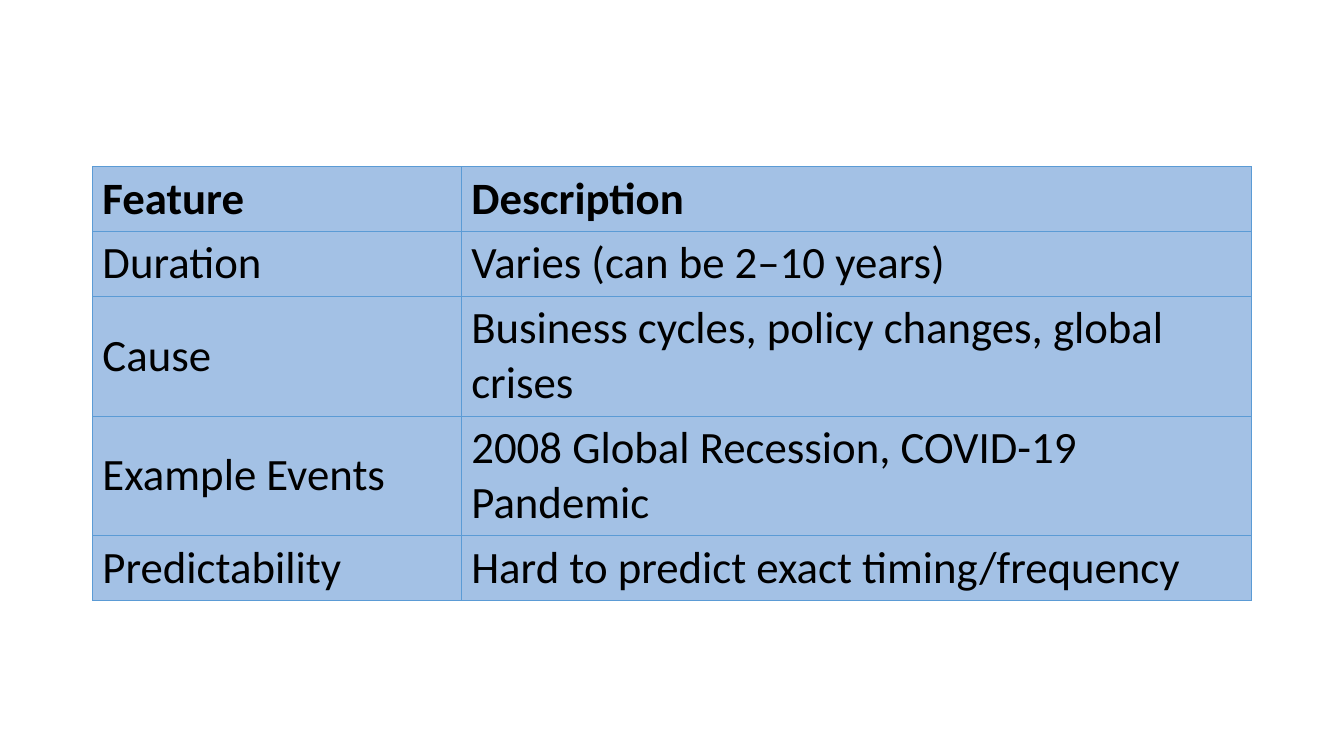
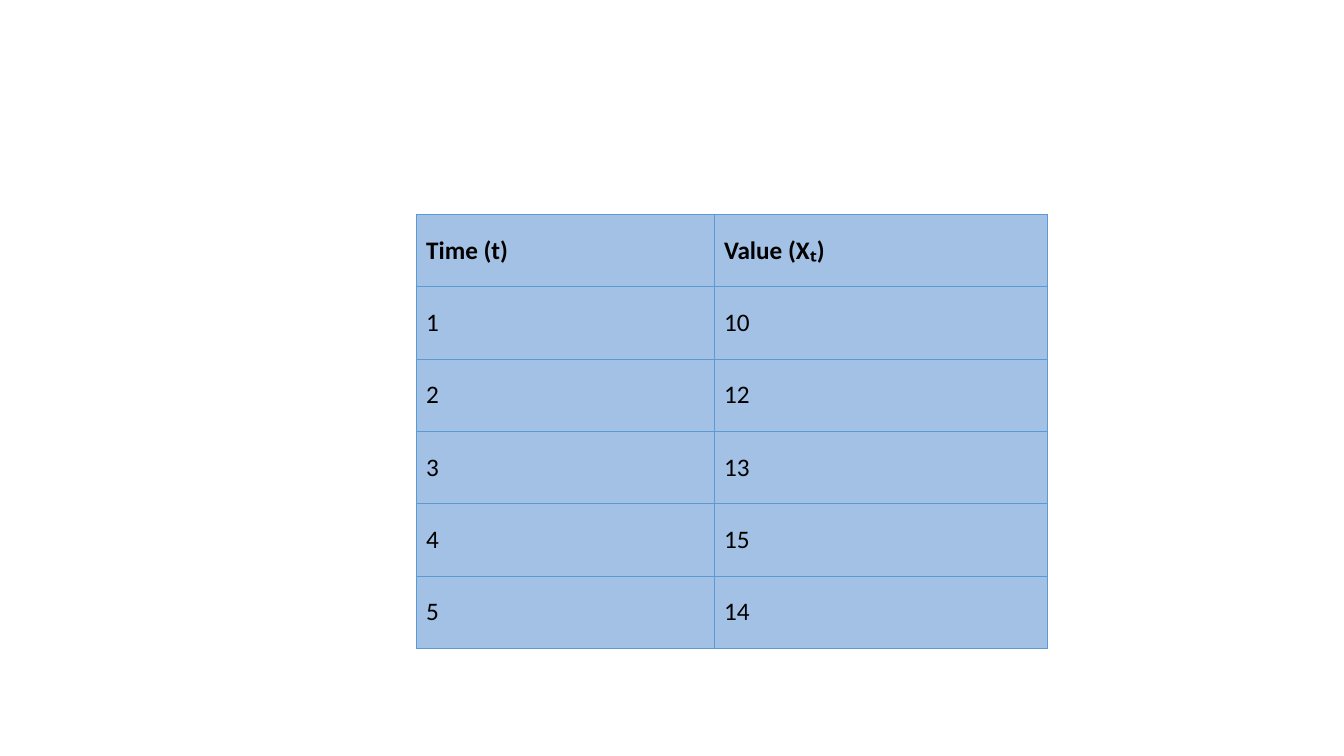
from lxml.etree import SubElement
from pptx import Presentation
from pptx.dml.color import RGBColor
from pptx.enum.text import MSO_ANCHOR
from pptx.oxml.ns import qn
from pptx.util import Pt

FILL = RGBColor(0xA3, 0xC1, 0xE5)
BORDER = RGBColor(0x5B, 0x9B, 0xD5)
TEXT = RGBColor(0, 0, 0)
FONT = "Calibri"
BORDER_WIDTH = Pt(0.5)


def add_borders(cell):
    """Outline all four sides; the lines must precede the fill in the XML."""
    properties = cell._tc.get_or_add_tcPr()
    for side in ("a:lnL", "a:lnR", "a:lnT", "a:lnB"):
        line = SubElement(properties, qn(side), w=str(BORDER_WIDTH))
        solid = SubElement(line, qn("a:solidFill"))
        SubElement(solid, qn("a:srgbClr"), val=str(BORDER))


def add_styled_table(slide, left, top, widths, heights, size, rows):
    frame = slide.shapes.add_table(
        len(rows), len(widths), Pt(left), Pt(top), Pt(sum(widths)), Pt(sum(heights)))
    table = frame.table
    table.horz_banding = False
    for column, width in zip(table.columns, widths):
        column.width = Pt(width)
    for row_index, (values, height) in enumerate(zip(rows, heights)):
        table.rows[row_index].height = Pt(height)
        for column_index, value in enumerate(values):
            cell = table.cell(row_index, column_index)
            add_borders(cell)
            cell.fill.solid()
            cell.fill.fore_color.rgb = FILL
            cell.vertical_anchor = MSO_ANCHOR.MIDDLE
            run = cell.text_frame.paragraphs[0].add_run()
            run.text = value
            run.font.name = FONT
            run.font.size = Pt(size)
            run.font.bold = row_index == 0
            run.font.color.rgb = TEXT


presentation = Presentation()
presentation.slide_width = Pt(960)
presentation.slide_height = Pt(540)
blank_layout = presentation.slide_layouts[6]

# Features of cyclical variation
features = [
    ("Feature", "Description"),
    ("Duration", "Varies (can be 2–10 years)"),
    ("Cause", "Business cycles, policy changes, global crises"),
    ("Example Events", "2008 Global Recession, COVID-19 Pandemic"),
    ("Predictability", "Hard to predict exact timing/frequency"),
]
ONE_LINE, TWO_LINES = 46.4, 85.4
slide = presentation.slides.add_slide(blank_layout)
add_styled_table(slide, 66, 118.8, (263.5, 564.5),
                 (ONE_LINE, ONE_LINE, TWO_LINES, TWO_LINES, ONE_LINE), 32, features)

# Time series values
series = [("Time (t)", "Value (Xₜ)")]
for time, value in enumerate((10, 12, 13, 15, 14), start=1):
    series.append((str(time), str(value)))
slide = presentation.slides.add_slide(blank_layout)
add_styled_table(slide, 297.2, 153.2, (212.8, 238), [51.65] * len(series), 18, series)

presentation.save("out.pptx")
